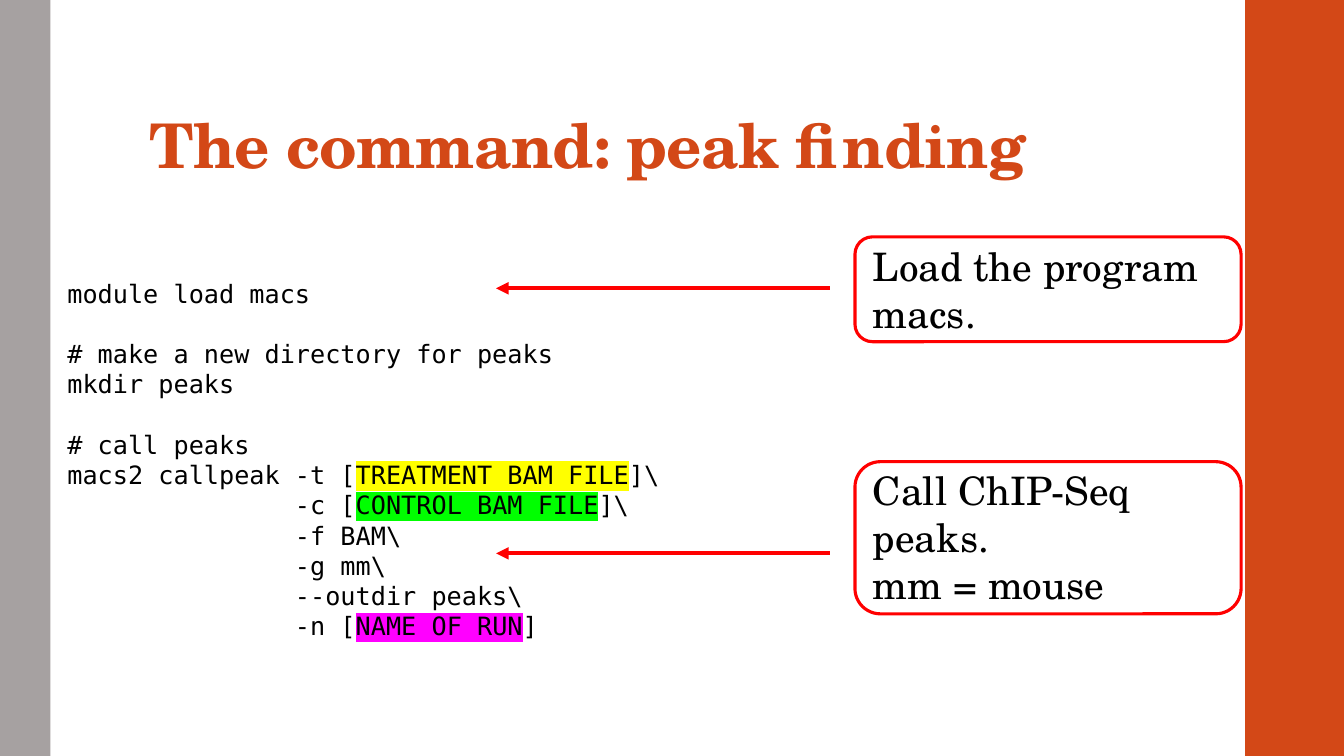
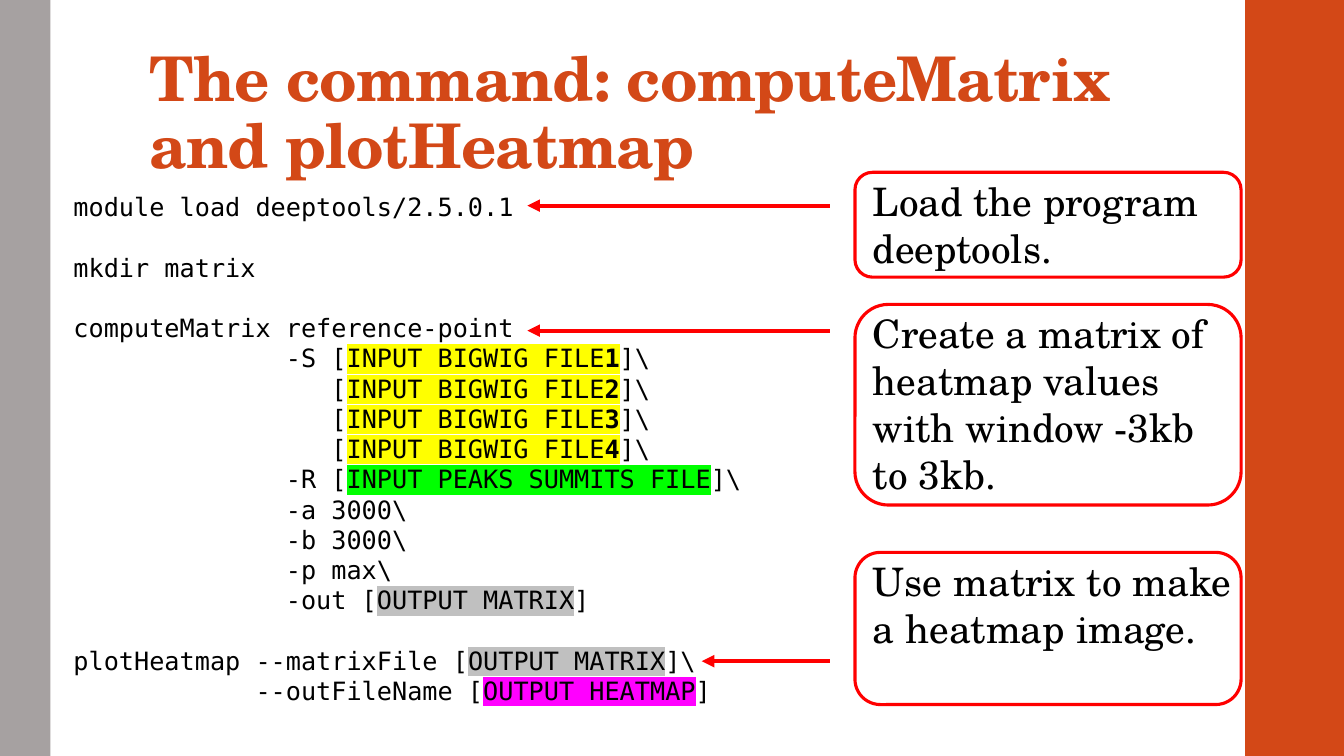
from dataclasses import dataclass

from lxml import etree
from pptx import Presentation
from pptx.dml.color import RGBColor
from pptx.enum.shapes import MSO_CONNECTOR, MSO_SHAPE
from pptx.enum.text import MSO_ANCHOR, MSO_AUTO_SIZE, PP_ALIGN
from pptx.oxml.ns import qn
from pptx.util import Pt

RECT, ROUNDED = MSO_SHAPE.RECTANGLE, MSO_SHAPE.ROUNDED_RECTANGLE
STRAIGHT = MSO_CONNECTOR.STRAIGHT
BOTTOM, TOP = MSO_ANCHOR.BOTTOM, MSO_ANCHOR.TOP
LEFT = PP_ALIGN.LEFT
NO_FIT = MSO_AUTO_SIZE.NONE

EMU_PER_PX = 9144  # 100 px to the inch
PAGE_W, PAGE_H = 1333, 750
TITLE_ONLY = 5  # layout index
CALLOUT_X, CALLOUT_W = 848, 383
ARROW_START = 823


@dataclass(frozen=True)
class Theme:
    accent: str = "D34817"
    side: str = "A6A1A1"
    ink: str = "000000"
    callout: str = "FF0000"
    yellow: str = "FFFF00"
    green: str = "00FF00"
    magenta: str = "FF00FF"
    grey: str = "C0C0C0"
    serif: str = "TeX Gyre Schola"
    mono: str = "DejaVu Sans Mono"
    title_size: int = 44
    callout_size: int = 28
    code_size: int = 18
    code_pitch: float = 21.6
    outline: float = 2.25
    arrow: int = 3


THEME = Theme()

# Highlight of each slot the reader has to fill in
SLOT_COLOURS = {
    "TREATMENT BAM FILE": THEME.yellow,
    "CONTROL BAM FILE": THEME.green,
    "NAME OF RUN": THEME.magenta,
    "INPUT BIGWIG FILE": THEME.yellow,
    "INPUT PEAKS SUMMITS FILE": THEME.green,
    "OUTPUT MATRIX": THEME.grey,
    "OUTPUT HEATMAP": THEME.magenta,
}

PEAK_CODE = [
    "module load macs",
    "",
    "# make a new directory for peaks",
    "mkdir peaks",
    "",
    "# call peaks",
    "macs2 callpeak -t [TREATMENT BAM FILE]\\",
    "               -c [CONTROL BAM FILE]\\",
    "               -f BAM\\",
    "               -g mm\\",
    "               --outdir peaks\\",
    "               -n [NAME OF RUN]",
]

HEATMAP_CODE = [
    "module load deeptools/2.5.0.1",
    "",
    "mkdir matrix",
    "",
    "computeMatrix reference-point",
    "              -S [INPUT BIGWIG FILE1]\\",
    "                 [INPUT BIGWIG FILE2]\\",
    "                 [INPUT BIGWIG FILE3]\\",
    "                 [INPUT BIGWIG FILE4]\\",
    "              -R [INPUT PEAKS SUMMITS FILE]\\",
    "              -a 3000\\",
    "              -b 3000\\",
    "              -p max\\",
    "              -out [OUTPUT MATRIX]",
    "",
    "plotHeatmap --matrixFile [OUTPUT MATRIX]\\",
    "            --outFileName [OUTPUT HEATMAP]",
]


def px(*lengths):
    return [length * EMU_PER_PX for length in lengths]


def rgb(colour):
    return RGBColor.from_string(colour)


# Text
def add_span(para, text, font, size, colour, bold=False, highlight=None):
    span = para.add_run()
    span.text = text
    span.font.name, span.font.size, span.font.bold = font, Pt(size), bold
    span.font.color.rgb = rgb(colour)
    if highlight:
        props = span.font.fill  # the colour precedes the highlight in the run
        props.solid()
        props.fore_color.rgb = rgb(colour)
        mark = etree.Element(qn("a:highlight"))
        etree.SubElement(mark, qn("a:srgbClr"), val=highlight)
        span._r.rPr.find(qn("a:solidFill")).addnext(mark)
    return span


def add_text_box(shapes, x, y, w, h):
    box = shapes.add_textbox(*px(x, y, w, h))
    box.text_frame.word_wrap = True
    box.text_frame.vertical_anchor = TOP
    return box.text_frame


def next_para(frame, index):
    return frame.add_paragraph() if index else frame.paragraphs[0]


def add_code_line(para, line):
    """Write one line, marking the slot between square brackets."""
    def write(text, **style):
        add_span(para, text, THEME.mono, THEME.code_size, THEME.ink, **style)

    before, bracket, rest = line.partition("[")
    write(before + bracket)
    if bracket:
        slot, closing, after = rest.partition("]")
        name = slot.rstrip("1234")
        number = slot[len(name):]
        colour = SLOT_COLOURS[name]
        write(name, highlight=colour)
        if number:
            write(number, bold=True, highlight=colour)
        write(closing + after)


def add_code(page, x, y, w, h, lines):
    frame = add_text_box(page.shapes, x, y, w, h)
    pitch = Pt(THEME.code_pitch)
    for index, line in enumerate(lines):
        if not line:
            continue
        para = next_para(frame, index)
        para.line_spacing = pitch
        if index and not lines[index - 1]:
            para.space_before = pitch
        add_code_line(para, line)


# Callouts
def add_arrow(shapes, start, end, y):
    arrow = shapes.add_connector(STRAIGHT, *px(start, y, end, y))
    arrow.line.color.rgb = rgb(THEME.callout)
    arrow.line.width = Pt(THEME.arrow)
    etree.SubElement(arrow.line._get_or_add_ln(), qn("a:tailEnd"), type="triangle")
    etree.SubElement(arrow.element.spPr, qn("a:effectLst"))


def add_callout(page, y, h, texts, arrow_y, arrow_end):
    group = page.shapes.add_group_shape()
    frame = add_text_box(group.shapes, CALLOUT_X + 8, y, CALLOUT_W - 7, h)
    for index, text in enumerate(texts):
        add_span(next_para(frame, index), text, THEME.serif,
                 THEME.callout_size, THEME.ink)
    outline = group.shapes.add_shape(ROUNDED, *px(CALLOUT_X, y, CALLOUT_W, h))
    outline.shadow.inherit = False
    outline.fill.background()
    outline.line.color.rgb = rgb(THEME.callout)
    outline.line.width = Pt(THEME.outline)
    add_arrow(group.shapes, ARROW_START, arrow_end, arrow_y)


# Shared layout: side bands and title frame
def move_band_to_layout(page, layout, x, w, colour, shape_id):
    band = page.shapes.add_shape(RECT, *px(x, 0, w, PAGE_H))
    band.shadow.inherit = False
    band.fill.solid()
    band.fill.fore_color.rgb = rgb(colour)
    band.line.fill.background()
    band.element.nvSpPr.cNvPr.set("id", str(shape_id))
    layout.shapes.element.insert(2, band.element)


def style_layout(page):
    layout = page.slide_layout
    move_band_to_layout(page, layout, 0, 50, THEME.side, 101)
    move_band_to_layout(page, layout, 1235, PAGE_W - 1235, THEME.accent, 102)


def set_title(page, text):
    title = page.shapes.title
    title.left, title.top, title.width, title.height = px(138, 32, 1060, 153)
    frame = title.text_frame
    frame.auto_size = NO_FIT
    frame.word_wrap = True
    frame.vertical_anchor = BOTTOM
    (frame.margin_left, frame.margin_top,
     frame.margin_right, frame.margin_bottom) = px(10, 3, 10, 5)
    para = frame.paragraphs[0]
    para.alignment = LEFT
    para.line_spacing = 0.9
    span = add_span(para, text, THEME.serif, THEME.title_size, THEME.accent, bold=True)
    span._r.rPr.set("spc", "-50")


def add_page(deck, title):
    page = deck.slides.add_slide(deck.slide_layouts[TITLE_ONLY])
    set_title(page, title)
    return page


def main():
    deck = Presentation()
    deck.slide_width, deck.slide_height = px(PAGE_W, PAGE_H)

    # Peak finding
    page = add_page(deck, "The command: peak finding")
    style_layout(page)
    add_code(page, 57, 271, 1127, 374, PEAK_CODE)
    add_callout(page, 235, 104, ["Load the program macs."], 286, 492)
    add_callout(page, 458, 151, ["Call ChIP-Seq peaks.", "mm = mouse"], 549, 492)

    # Matrix and heatmap
    page = add_page(deck, "The command: computeMatrix and plotHeatmap")
    add_code(page, 63, 185, 1185, 525, HEATMAP_CODE)
    add_callout(page, 171, 104, ["Load the program deeptools."], 204, 523)
    add_callout(page, 302, 199,
                ["Create a matrix of heatmap values with window -3kb to 3kb."], 328, 523)
    add_callout(page, 548, 151, ["Use matrix to make a heatmap image."], 656, 696)

    deck.save("out.pptx")


if __name__ == "__main__":
    main()
